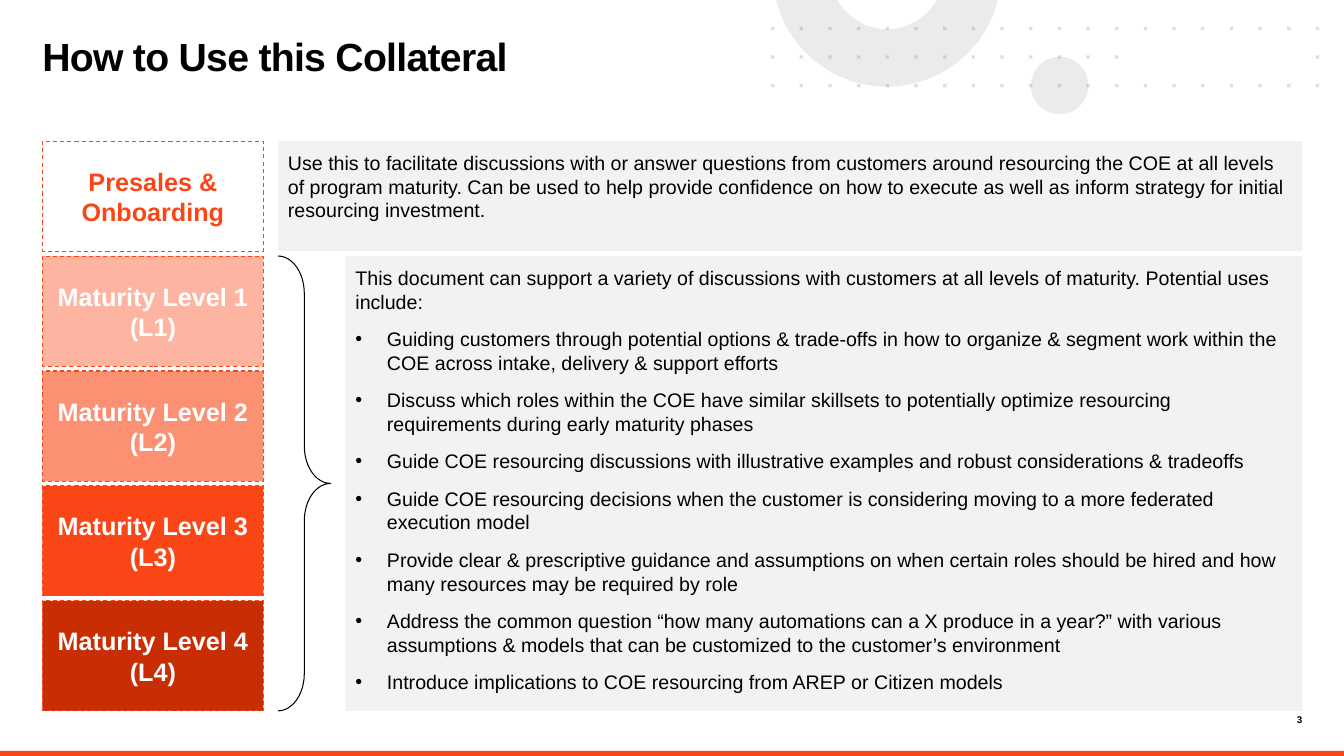
import math
from dataclasses import dataclass

from lxml import etree
from pptx import Presentation
from pptx.dml.color import RGBColor
from pptx.enum.dml import MSO_LINE
from pptx.enum.shapes import MSO_SHAPE
from pptx.enum.text import MSO_ANCHOR, MSO_AUTO_SIZE, PP_ALIGN
from pptx.oxml.ns import qn
from pptx.util import Pt

RECTANGLE, OVAL, BRACE = MSO_SHAPE.RECTANGLE, MSO_SHAPE.OVAL, MSO_SHAPE.RIGHT_BRACE
LEFT, CENTER, RIGHT = PP_ALIGN.LEFT, PP_ALIGN.CENTER, PP_ALIGN.RIGHT
TOP, MIDDLE = MSO_ANCHOR.TOP, MSO_ANCHOR.MIDDLE
DASH, NO_AUTOFIT = MSO_LINE.DASH, MSO_AUTO_SIZE.NONE

TITLE = "How to Use this Collateral"
PAGE_NUMBER = "3"
STAGES = [
    (["Presales & Onboarding"], "FFFFFF", "FA4616"),
    (["Maturity Level 1", "(L1)"], "FDB5A2", "FFFFFF"),
    (["Maturity Level 2", "(L2)"], "FC9073", "FFFFFF"),
    (["Maturity Level 3", "(L3)"], "FA4616", "FFFFFF"),
    (["Maturity Level 4", "(L4)"], "C82D04", "FFFFFF"),
]
PRESALES_USE = (
    "Use this to facilitate discussions with or answer questions from customers around "
    "resourcing the COE at all levels of program maturity. Can be used to help provide "
    "confidence on how to execute as well as inform strategy for initial resourcing investment."
)
MATURITY_INTRO = (
    "This document can support a variety of discussions with customers at all levels of "
    "maturity. Potential uses include:"
)
MATURITY_USES = [
    "Guiding customers through potential options & trade-offs in how to organize & segment "
    "work within the COE across intake, delivery & support efforts",
    "Discuss which roles within the COE have similar skillsets to potentially optimize "
    "resourcing requirements during early maturity phases",
    "Guide COE resourcing discussions with illustrative examples and robust considerations "
    "& tradeoffs",
    "Guide COE resourcing decisions when the customer is considering moving to a more "
    "federated execution model",
    "Provide clear & prescriptive guidance and assumptions on when certain roles should be "
    "hired and how many resources may be required by role",
    "Address the common question “how many automations can a X produce in a year?” with "
    "various assumptions & models that can be customized to the customer’s environment",
    "Introduce implications to COE resourcing from AREP or Citizen models",
]
DOT_BLOCKS = [range(0, 6), range(6, 12), range(12, 14), range(14, 20)]
MIDDLE_ROW_GAP = range(13, 19)


@dataclass(frozen=True)
class Theme:
    font: str = "Arial"
    accent: str = "FA4616"
    ink: str = "000000"
    panel: str = "F2F2F2"
    disc: str = "D9D9D9"
    dot: str = "58595B"
    title_size: float = 28
    label_size: float = 18
    body_size: float = 14
    number_size: float = 7


THEME = Theme()
SLIDE_WIDTH, SLIDE_HEIGHT = 960, 540
MARGIN, CONTENT_RIGHT = 30.24, 930.24
GRID_TOP, ROW_PITCH, ROW_HEIGHT = 100.8, 82.1, 78.6
LABEL_WIDTH, BRACE_LEFT, BRACE_WIDTH, DETAIL_LEFT = 158, 198.6, 37.6, 246.8
DOT_LEFT, DOT_TOP, DOT_PITCH, DOT_SIZE = 550.8, 19.2, 20.48, 2.3
RING_X, RING_Y, RING_OUTER, RING_INNER = 633.6, -19.66, 81.58, 40.54
ARC_STEPS = 48


def paint(shape, fill=None, alpha=None, line=None, dash=None):
    shape.shadow.inherit = False
    if fill:
        shape.fill.solid()
        shape.fill.fore_color.rgb = RGBColor.from_string(fill)
    else:
        shape.fill.background()
    if alpha:
        color = shape.fill._xPr.find(".//" + qn("a:srgbClr"))
        etree.SubElement(color, qn("a:alpha"), val=str(alpha * 1000))
    if line:
        shape.line.color.rgb = RGBColor.from_string(line)
        shape.line.width = Pt(0.75)
        shape.line.dash_style = dash
    else:
        shape.line.fill.background()
    return shape


def add_shape(slide, kind, left, top, width, height, **look):
    shape = slide.shapes.add_shape(kind, Pt(left), Pt(top), Pt(width), Pt(height))
    return paint(shape, **look)


def add_outline(slide, contours, **look):
    builder = None
    for contour in contours:
        points = [(Pt(x), Pt(y)) for x, y in contour]
        if builder is None:
            builder = slide.shapes.build_freeform(*points[0])
        else:
            builder.move_to(*points[0])
        builder.add_line_segments(points[1:], close=True)
    return paint(builder.convert_to_shape(), **look)


def write(shape, lines, size, color=THEME.ink, bold=False, align=LEFT, anchor=TOP,
          inset=0, gap=0, bullets_from=None, line_spacing=None, tracking=None):
    frame = shape.text_frame
    frame.word_wrap = True
    frame.auto_size = NO_AUTOFIT
    frame.vertical_anchor = anchor
    frame.margin_left = frame.margin_right = Pt(inset)
    frame.margin_top = frame.margin_bottom = Pt(inset)
    for index, line in enumerate(lines):
        paragraph = frame.add_paragraph() if index else frame.paragraphs[0]
        paragraph.alignment = align
        if index:
            paragraph.space_before = Pt(gap)
        if line_spacing:
            paragraph.line_spacing = line_spacing
        if bullets_from is not None and index >= bullets_from:
            properties = paragraph._p.get_or_add_pPr()
            properties.set("marL", str(Pt(22.5)))
            properties.set("indent", str(-Pt(22.5)))
            etree.SubElement(properties, qn("a:buFont"), typeface=THEME.font)
            etree.SubElement(properties, qn("a:buChar"), char="•")
        run = paragraph.add_run()
        run.text = line
        run.font.name = THEME.font
        run.font.size = Pt(size)
        run.font.bold = bold
        run.font.color.rgb = RGBColor.from_string(color)
        if tracking:
            run._r.get_or_add_rPr().set("spc", str(round(tracking * 100)))


def ring_arc(radius):
    start = math.asin(-RING_Y / radius)
    sweep = math.pi - 2 * start
    angles = [start + sweep * step / ARC_STEPS for step in range(ARC_STEPS + 1)]
    return [(RING_X + radius * math.cos(a), RING_Y + radius * math.sin(a)) for a in angles]


def dot_contour(column, row):
    left, top = DOT_LEFT + column * DOT_PITCH, DOT_TOP + row * DOT_PITCH
    right, bottom = left + DOT_SIZE, top + DOT_SIZE
    return [(left, top), (right, top), (right, bottom), (left, bottom)]


def add_decoration(slide):
    add_shape(slide, RECTANGLE, 0, 536.4, SLIDE_WIDTH, 3.6, fill=THEME.accent)
    add_shape(slide, OVAL, 736.4, 40.6, 41, 41, fill=THEME.disc, alpha=50)
    ring = ring_arc(RING_OUTER) + ring_arc(RING_INNER)[::-1]
    add_outline(slide, [ring], fill=THEME.disc, alpha=50)
    for columns in DOT_BLOCKS:
        dots = [dot_contour(column, row) for row in range(3) for column in columns
                if row != 1 or column not in MIDDLE_ROW_GAP]
        add_outline(slide, dots, fill=THEME.dot, alpha=20)
    number = slide.shapes.add_textbox(Pt(902.2), Pt(509.8), Pt(28), Pt(9.4))
    write(number, [PAGE_NUMBER], THEME.number_size, bold=True, align=RIGHT)


def add_content(slide):
    for index, (lines, fill, color) in enumerate(STAGES):
        label = add_shape(slide, RECTANGLE, MARGIN, GRID_TOP + index * ROW_PITCH, LABEL_WIDTH,
                          ROW_HEIGHT, fill=fill, line=THEME.accent, dash=DASH)
        write(label, lines, THEME.label_size, color, bold=True, align=CENTER, anchor=MIDDLE)
    levels_top = GRID_TOP + ROW_PITCH
    levels_height = (len(STAGES) - 2) * ROW_PITCH + ROW_HEIGHT
    panels = [
        (BRACE_LEFT, GRID_TOP, ROW_HEIGHT, [PRESALES_USE]),
        (DETAIL_LEFT, levels_top, levels_height, [MATURITY_INTRO] + MATURITY_USES),
    ]
    for left, top, height, lines in panels:
        panel = add_shape(slide, RECTANGLE, left, top, CONTENT_RIGHT - left, height,
                          fill=THEME.panel)
        write(panel, lines, THEME.body_size, inset=7.2, gap=10, bullets_from=1)
    brace = add_shape(slide, BRACE, BRACE_LEFT, levels_top, BRACE_WIDTH, levels_height,
                      line=THEME.ink)
    brace.adjustments[0] = 0.71
    brace.adjustments[1] = 0.5


def main():
    presentation = Presentation()
    presentation.slide_width, presentation.slide_height = Pt(SLIDE_WIDTH), Pt(SLIDE_HEIGHT)
    slide = presentation.slides.add_slide(presentation.slide_layouts[5])
    add_decoration(slide)
    title = slide.shapes.title
    title.left, title.top, title.width, title.height = Pt(MARGIN), Pt(28), Pt(520.6), Pt(54)
    write(title, [TITLE], THEME.title_size, bold=True, line_spacing=0.85, tracking=-0.5)
    add_content(slide)
    presentation.save("out.pptx")


if __name__ == "__main__":
    main()
